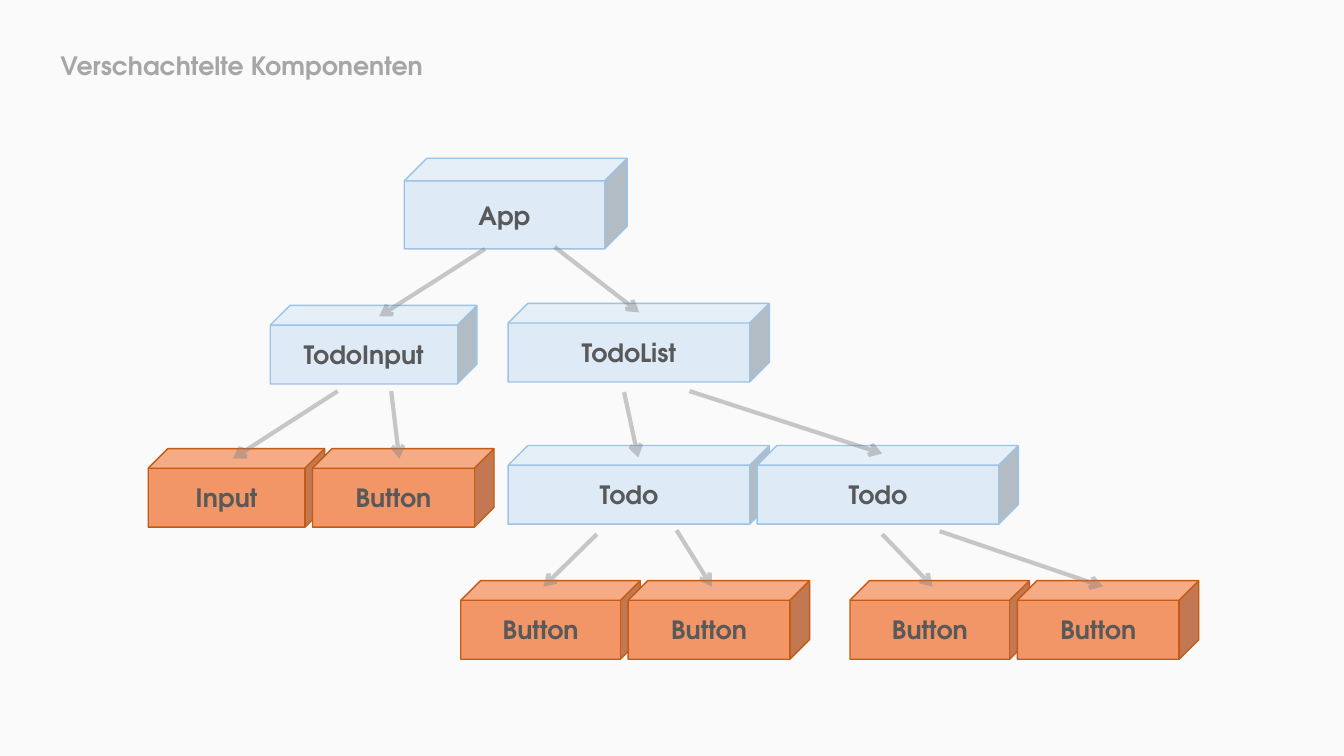
from lxml import etree
from pptx import Presentation
from pptx.dml.color import RGBColor
from pptx.enum import shapes, text
from pptx.oxml import ns
from pptx.util import Inches, Pt

FONT = "TeX Gyre Adventor"
BACKGROUND = RGBColor(0xFA, 0xFA, 0xFA)
TITLE_GRAY = RGBColor(0xA6, 0xA6, 0xA6)
LABEL_GRAY = RGBColor(0x59, 0x59, 0x59)
ARROW_GRAY = RGBColor(0x80, 0x80, 0x80)
BLUE_FILL = RGBColor(0xDE, 0xEB, 0xF7)
BLUE_LINE = RGBColor(0x9D, 0xC3, 0xE6)
ORANGE_FILL = RGBColor(0xF2, 0x96, 0x68)
ORANGE_LINE = RGBColor(0xC5, 0x5A, 0x11)

COMPONENT = (BLUE_FILL, BLUE_LINE)
ELEMENT = (ORANGE_FILL, ORANGE_LINE)
OVERLAP = 0.12
CUBE_HEIGHT = 0.78

BUTTON_PAIR = [("Button", 1.78), ("Button", 1.8)]
BRANCHES = [
    (4.01, 1.57, 0.9, COMPONENT, [("App", 2.21)], []),
    (5.04, 3.01, CUBE_HEIGHT, COMPONENT, [("TodoList", 2.59)],
     [(0.46, -0.56, 1.3, 0.09)]),
    (2.68, 3.03, CUBE_HEIGHT, COMPONENT, [("TodoInput", 2.05)],
     [(2.13, -0.56, 1.08, 0.11)]),
    (5.04, 4.42, CUBE_HEIGHT, COMPONENT, [("Todo", 2.59), ("Todo", 2.59)],
     [(1.15, -0.53, 1.29, 0.12), (1.8, -0.54, 3.71, 0.08)]),
    (1.47, 4.45, CUBE_HEIGHT, ELEMENT, [("Input", 1.75), ("Button", 1.8)],
     [(2.41, -0.57, 2.49, 0.1), (1.88, -0.57, 0.84, 0.1)]),
    (4.57, 5.76, CUBE_HEIGHT, ELEMENT, BUTTON_PAIR,
     [(1.35, -0.46, 0.82, 0.06), (2.14, -0.5, 2.49, 0.06)]),
    (8.43, 5.76, CUBE_HEIGHT, ELEMENT, BUTTON_PAIR,
     [(0.89, -0.49, 2.51, 0.06), (0.32, -0.46, 0.82, 0.06)]),
]


def write_text(frame, words, color, alignment):
    para = frame.paragraphs[0]
    para.alignment = alignment
    span = para.add_run()
    span.text = words
    formats = {"name": FONT, "size": Pt(18), "bold": True}
    for name, value in formats.items():
        setattr(span.font, name, value)
    span.font.color.rgb = color


def draw_title(page, left, top, width, height):
    title = page.shapes.title
    places = {"left": left, "top": top, "width": width, "height": height}
    for name, value in places.items():
        setattr(title, name, Inches(value))
    frame = title.text_frame
    formats = {"word_wrap": True, "auto_size": text.MSO_AUTO_SIZE.NONE,
               "vertical_anchor": text.MSO_ANCHOR.TOP}
    for name, value in formats.items():
        setattr(frame, name, value)
    write_text(frame, "Verschachtelte Komponenten", TITLE_GRAY, text.PP_ALIGN.LEFT)


def draw_cube(page, left, top, width, height, label, palette):
    cube = page.shapes.add_shape(
        shapes.MSO_SHAPE.CUBE, Inches(left), Inches(top), Inches(width), Inches(height))
    fill, line = palette
    cube.shadow.inherit = False
    cube.fill.solid()
    cube.fill.fore_color.rgb = fill
    cube.line.color.rgb = line
    cube.line.width = Pt(1)
    cube.text_frame.word_wrap = True
    cube.text_frame.vertical_anchor = text.MSO_ANCHOR.MIDDLE
    write_text(cube.text_frame, label, LABEL_GRAY, text.PP_ALIGN.CENTER)


def draw_arrow(page, start_x, start_y, end_x, end_y):
    arrow = page.shapes.add_connector(
        shapes.MSO_CONNECTOR.STRAIGHT,
        Inches(start_x), Inches(start_y), Inches(end_x), Inches(end_y))
    arrow.line.color.rgb = ARROW_GRAY
    arrow.line.width = Pt(3)
    properties = arrow.element.spPr
    color = properties.find(".//" + ns.qn("a:srgbClr"))
    etree.SubElement(color, ns.qn("a:alpha"), val="41000")
    outline = properties.find(ns.qn("a:ln"))
    etree.SubElement(outline, ns.qn("a:tailEnd"), type="arrow")
    etree.SubElement(properties, ns.qn("a:effectLst"))


def draw_branch(page, left, top, height, palette, cubes, arrows):
    cube_left = left
    for label, width in cubes:
        draw_cube(page, cube_left, top, width, height, label, palette)
        cube_left += width - OVERLAP
    for start_x, start_y, end_x, end_y in arrows:
        draw_arrow(page, left + start_x, top + start_y, left + end_x, top + end_y)


def main():
    deck = Presentation()
    deck.slide_width = Inches(13.33)
    deck.slide_height = Inches(7.5)
    page = deck.slides.add_slide(deck.slide_layouts.get_by_name("Title Only"))
    page.background.fill.solid()
    page.background.fill.fore_color.rgb = BACKGROUND
    draw_title(page, 0.5, 0.45, 4.41, 0.4)
    for branch in BRANCHES:
        draw_branch(page, *branch)
    deck.save("out.pptx")


if __name__ == "__main__":
    main()
